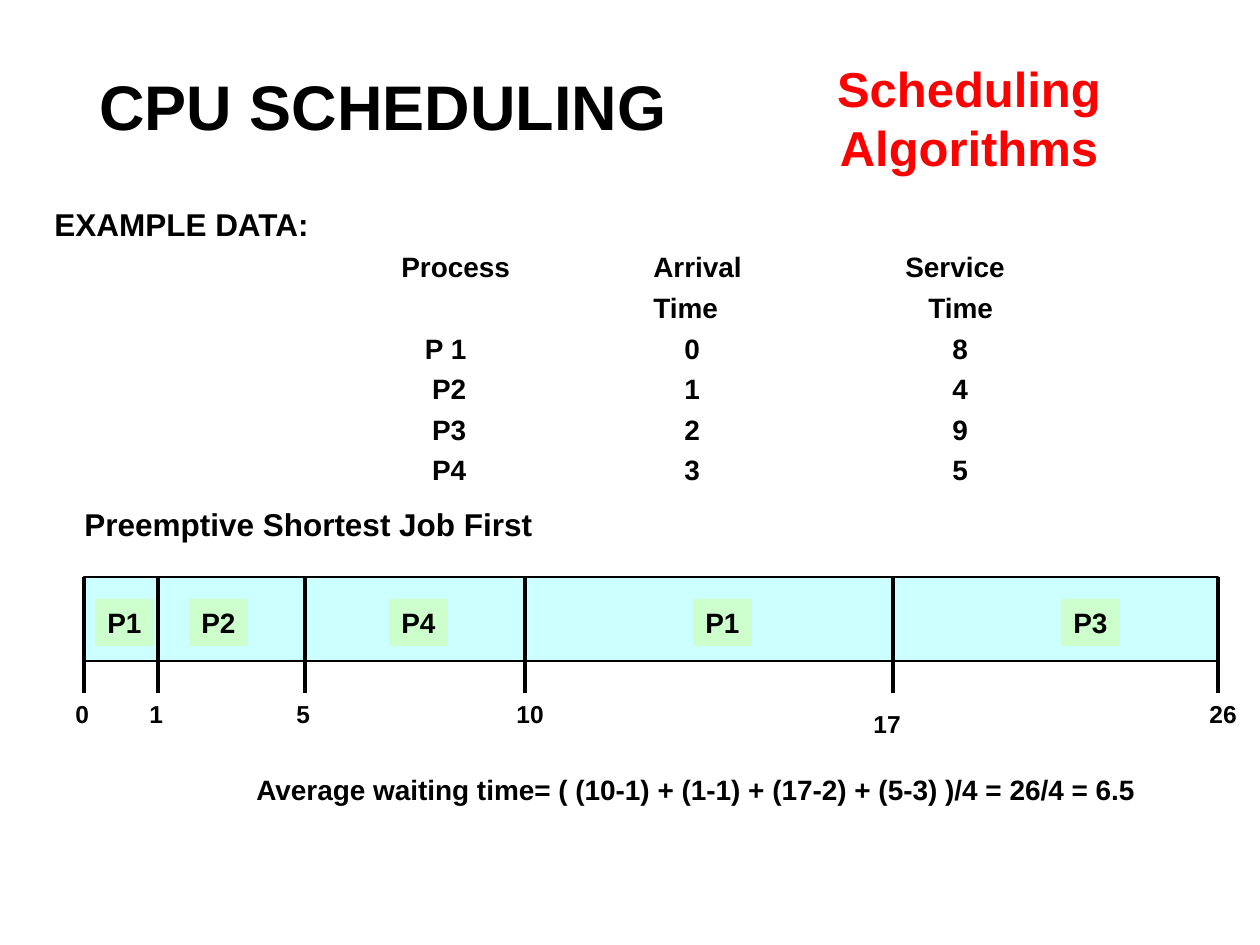
from dataclasses import dataclass

from lxml import etree
from pptx import Presentation
from pptx.dml.color import RGBColor
from pptx.enum.shapes import MSO_CONNECTOR, MSO_SHAPE
from pptx.enum.text import MSO_ANCHOR, PP_ALIGN
from pptx.oxml.ns import qn
from pptx.util import Pt

RECT = MSO_SHAPE.RECTANGLE
STRAIGHT = MSO_CONNECTOR.STRAIGHT
LEFT, CENTER = PP_ALIGN.LEFT, PP_ALIGN.CENTER
TOP, MIDDLE = MSO_ANCHOR.TOP, MSO_ANCHOR.MIDDLE


@dataclass(frozen=True)
class Theme:
    font: str = "Arial"
    ink: RGBColor = RGBColor(0, 0, 0)
    accent: RGBColor = RGBColor(0xFF, 0, 0)
    bar: RGBColor = RGBColor(0xCC, 0xFF, 0xFF)
    job: RGBColor = RGBColor(0xCC, 0xFF, 0xCC)
    title: int = 36
    topic: int = 28
    heading: int = 18
    body: int = 16
    tick: int = 14


T = Theme()


def px(*lengths):
    """Turn pixels (126 to the inch) into EMU."""
    return [round(n * 914400 / 126) for n in lengths]


def write(sp, lines, size, color=T.ink, align=LEFT, anchor=TOP, wrap=False):
    tf = sp.text_frame
    tf.word_wrap = wrap
    tf.vertical_anchor = anchor
    tf.text = "\n".join(lines)
    for p in tf.paragraphs:
        p.alignment = align
        p.font.name, p.font.size, p.font.bold = T.font, Pt(size), True
        p.font.color.rgb = color
    return tf


prs = Presentation()
prs.slide_width, prs.slide_height = px(1260, 945)
shapes = prs.slides.add_slide(prs.slide_layouts[6]).shapes

# Headings
write(shapes.add_textbox(*px(73, 42, 620, 126)), ["CPU SCHEDULING"],
      T.title, align=CENTER, anchor=MIDDLE, wrap=True)
write(shapes.add_textbox(*px(746, 52, 446, 131)), ["Scheduling", "Algorithms"],
      T.topic, T.accent, CENTER, wrap=True)

# Example data, in columns set by tab stops measured from the text edge
header_tabs = [(347, "l"), (599, "l"), (851, "l")]
time_tabs = [(599, "l"), (874, "l")]
value_tabs = [(412, "r"), (630, "l"), (898, "l")]
rows = [
    ("\tProcess\tArrival\tService", header_tabs),
    ("\tTime\tTime", time_tabs),
    ("\tP 1\t0\t8", value_tabs),
    ("\tP2\t1\t4", value_tabs),
    ("\tP3\t2\t9", value_tabs),
    ("\tP4\t3\t5", value_tabs),
]
tf = write(shapes.add_textbox(*px(42, 199, 1187, 294)),
           ["EXAMPLE DATA:"] + [line for line, _ in rows], T.body, wrap=True)
tf.paragraphs[0].font.size = Pt(T.heading)
for p, (_, tabs) in zip(tf.paragraphs[1:], rows):
    p.space_before = Pt(4)
    pPr = p._p.get_or_add_pPr()
    tab_list = etree.Element(qn("a:tabLst"))
    for pos, align in tabs:
        etree.SubElement(tab_list, qn("a:tab"), pos=str(px(pos)[0]), algn=align)
    pPr.find(qn("a:defRPr")).addprevious(tab_list)

# Gantt chart
write(shapes.add_textbox(*px(72, 499, 473, 50)),
      ["Preemptive Shortest Job First"], T.heading)
sp = shapes.add_shape(RECT, *px(84, 577, 1134, 84))
sp.shadow.inherit = False
sp.fill.solid()
sp.fill.fore_color.rgb = T.bar
sp.line.color.rgb = T.ink
sp.line.width = Pt(0.75)

for job, x in [("P1", 95), ("P2", 189), ("P4", 389), ("P1", 693), ("P3", 1061)]:
    sp = shapes.add_shape(RECT, *px(x, 599, 59, 47))
    sp.shadow.inherit = False
    sp.fill.solid()
    sp.fill.fore_color.rgb = T.job
    sp.line.fill.background()
    write(sp, [job], T.body)

# Each tick: time, line position, label left and top
ticks = [
    ("0", 84, 63, 693),
    ("1", 158, 137, 693),
    ("5", 305, 284, 693),
    ("10", 525, 504, 693),
    ("17", 893, 861, 703),
    ("26", 1218, 1197, 693),
]
for time, x, label_x, label_y in ticks:
    line = shapes.add_connector(STRAIGHT, *px(x, 577, x, 693))
    line.line.color.rgb = T.ink
    line.line.width = Pt(2.25)
    etree.SubElement(line._element.spPr, qn("a:effectLst"))
    write(shapes.add_textbox(*px(label_x, label_y, 24 + 15 * len(time), 43)),
          [time], T.tick)

write(shapes.add_textbox(*px(244, 766, 905, 47)),
      ["Average waiting time= ( (10-1) + (1-1) + (17-2) + (5-3) )/4 = 26/4 = 6.5"],
      T.body)

prs.save("out.pptx")
